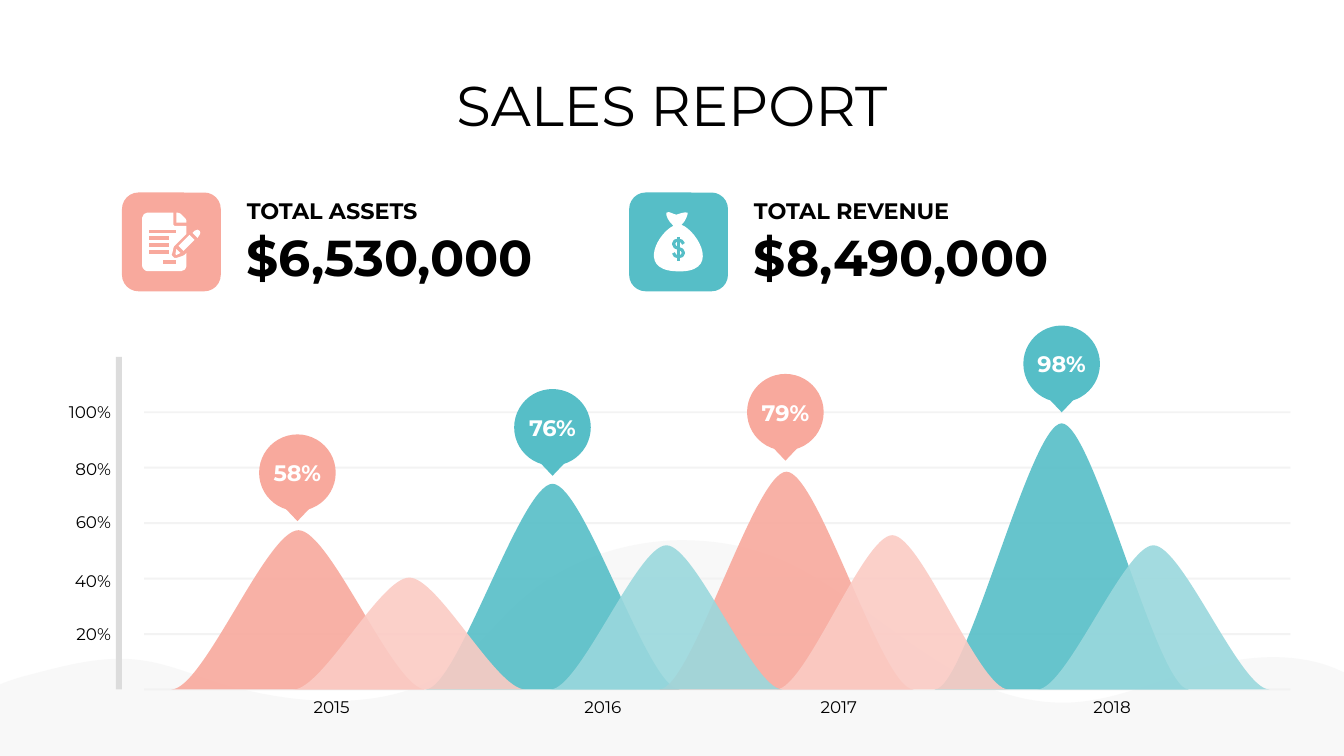
from pptx import Presentation, util as u
from pptx.dml.color import RGBColor
from pptx.enum import shapes, text
from pptx.oxml.ns import qn
from lxml import etree

CORAL, PALE_CORAL = "F8A99D", "FBCBC4"
TEAL, PALE_TEAL = "56BEC7", "9AD8DD"
BLACK, WHITE, MIST, GREY = "000000", "FFFFFF", "F2F2F2", "D9D9D9"
KIND = shapes.MSO_SHAPE
ALIGN = text.PP_ALIGN

WAVE = [(6.7, 5.36), (7.14, 5.35, 7.58, 5.44, 7.97, 5.66), (8.78, 6.1, 9.48, 6.93, 10.47, 6.97),
        (11.09, 7, 11.65, 6.64, 12.26, 6.55), (12.64, 6.49, 12.97, 6.52, 13.24, 6.63),
        (13.33, 6.67), (13.33, 7.5), (0, 7.5), (0, 6.79),
        (0.12, 6.74, 0.23, 6.71, 0.35, 6.68), (0.69, 6.59, 1.05, 6.5, 1.4, 6.55),
        (1.7, 6.59, 1.97, 6.72, 2.26, 6.8), (2.97, 7, 3.91, 7.07, 4.5, 6.61),
        (4.75, 6.41, 4.93, 6.16, 5.17, 5.95), (5.58, 5.58, 6.14, 5.38, 6.7, 5.36)]
SHEET = [(.51, .55), (.51, .54, .52, .53, .53, .52), (.64, .41), (.64, .33), (.52, .33),
         (.51, .32), (.51, .2), (.25, .2), (.23, .2, .2, .22, .2, .25),
         (.2, .73), (.2, .75, .23, .78, .25, .78), (.59, .78), (.62, .78, .64, .75, .64, .73),
         (.64, .6), (.62, .62), (.6, .63), (.54, .65),
         (.52, .65, .51, .65, .5, .63), (.49, .62, .49, .61, .5, .6)]
FOLD = [(.64, .3), (.64, .28, .64, .27, .63, .26), (.58, .21), (.57, .2, .56, .2, .54, .2), (.54, .3)]
TIP = [(.54, .56), (.53, .61), (.54, .62), (.58, .6)]
SHAFT = [(.67, .42), (.56, .53), (.61, .58), (.72, .47)]
ERASER = [(.77, .38), (.76, .37, .74, .36, .72, .38), (.7, .4), (.75, .45), (.77, .42),
          (.78, .41, .78, .39, .77, .38)]
WRITING = [[(.27, .39), (.54, .39)], [(.27, .45), (.47, .45)], [(.27, .52), (.47, .52)],
           [(.27, .59), (.47, .59)], [(.41, .69), (.54, .69)]]
BAG = [(.52, .32), (.56, .29, .59, .2, .58, .2), (.55, .19, .5, .21, .47, .22),
       (.44, .22, .4, .18, .37, .2), (.36, .22, .39, .29, .44, .33),
       (.29, .4, .09, .75, .44, .78), (.93, .82, .69, .39, .52, .32)]
DOLLAR = [(.54, .51), (.53, .46, .44, .46, .44, .51), (.44, .57, .54, .54, .54, .6),
          (.54, .65, .44, .65, .44, .6)]
STEM = [(.49, .44), (.49, .68)]


def tint(value):
    """Turn a hex string into a colour."""
    return RGBColor.from_string(value)


def paint(shape, color, opacity=100):
    """Give a shape a flat fill without line or shadow."""
    shape.shadow.inherit = False
    shape.line.fill.background()
    shape.fill.solid()
    shape.fill.fore_color.rgb = tint(color)
    if opacity < 100:
        swatch = shape.fill._xPr.find(".//" + qn("a:srgbClr"))
        etree.SubElement(swatch, qn("a:alpha")).set("val", str(opacity * 1000))
    return shape


def block(holder, kind, left, top, width, height, color, opacity=100):
    """Add a painted preset shape."""
    box = [u.Inches(length) for length in (left, top, width, height)]
    return paint(holder.shapes.add_shape(kind, *box), color, opacity)


def trace(page, left, top, outlines, close=True):
    """Add a freeform of lines and cubic curves relative to a corner."""
    def place(step):
        return [(u.Inches(left + x), u.Inches(top + y)) for x, y in zip(step[::2], step[1::2])]

    builder = page.shapes.build_freeform(*place(outlines[0][0])[0], scale=1.0)
    for number, outline in enumerate(outlines):
        if number:
            builder.move_to(*place(outline[0])[0])
        builder.add_line_segments([point for step in outline[1:] for point in place(step)], close=close)
    shape = builder.convert_to_shape()
    segments = iter(list(shape._element.iter(qn("a:lnTo"))))
    for step in (step for outline in outlines for step in outline[1:]):
        first = next(segments)
        if len(step) == 6:
            curve = etree.Element(qn("a:cubicBezTo"))
            first.addprevious(curve)
            for segment in (first, next(segments), next(segments)):
                curve.append(segment[0])
                segment.getparent().remove(segment)
    return shape


def pen(shape, color, width):
    """Give an open outline a line and no fill."""
    shape.shadow.inherit = False
    shape.fill.background()
    shape.line.color.rgb = tint(color)
    shape.line.width = u.Pt(width)


def style(frame, words, size, color=BLACK, align=ALIGN.LEFT, bold=False):
    """Set and format the single paragraph of a text frame."""
    frame.text = words
    frame.vertical_anchor = text.MSO_ANCHOR.MIDDLE
    para = frame.paragraphs[0]
    para.alignment = align
    span = para.runs[0].font
    span.name, span.size, span.bold = "Montserrat", u.Pt(size), bold
    span.color.rgb = tint(color)
    return para


def label(page, left, top, width, height, words, size, **look):
    """Add a wrapped text box."""
    box = page.shapes.add_textbox(*[u.Inches(n) for n in (left, top, width, height)])
    box.text_frame.word_wrap = True
    style(box.text_frame, words, size, **look)


def draw_title(page, left, top, width, height):
    """Place and format the title."""
    title = page.shapes.title
    title.left, title.top, title.width, title.height = map(u.Inches, (left, top, width, height))
    title.text_frame.margin_top = u.Inches(.16)
    style(title.text_frame, "SALES REPORT", 40, align=ALIGN.CENTER).line_spacing = .9


def draw_total(page, left, top, color, name, amount):
    """Draw an icon tile with its name and amount."""
    block(page, KIND.ROUNDED_RECTANGLE, left, top, .98, .98, color)
    label(page, left + 1.14, top - .01, 3.3, .37, name, 16, bold=True)
    label(page, left + 1.14, top + .28, 3.3, .71, amount, 36, bold=True)


def draw_document(page, left, top):
    """Draw the sheet and pencil icon."""
    paint(trace(page, left, top, [SHEET, FOLD, TIP, SHAFT, ERASER]), WHITE)
    pen(trace(page, left, top, WRITING, close=False), CORAL, 2.4)


def draw_money_bag(page, left, top):
    """Draw the money bag icon."""
    paint(trace(page, left, top, [BAG]), WHITE)
    pen(trace(page, left, top, [DOLLAR, STEM], close=False), TEAL, 2.2)


def draw_hill(page, center, base, height, half, color):
    """Draw one bell-shaped hill standing on the base line."""
    outline = [(-half, 0), (-.75 * half, 0, -.25 * half, -height, 0, -height),
               (.25 * half, -height, .75 * half, 0, half, 0)]
    paint(trace(page, center, base, [outline]), color, 90)


def draw_pin(page, center, top, color, share):
    """Draw a round pin with its percentage."""
    pin = page.shapes.add_group_shape()
    pointer = block(pin, KIND.ISOSCELES_TRIANGLE, center - .19, top + .66, .38, .2, color)
    pointer.rotation = 180
    disc = block(pin, KIND.OVAL, center - .38, top, .76, .76, color)
    frame = disc.text_frame
    frame.margin_left = frame.margin_right = frame.margin_top = frame.margin_bottom = 0
    frame.word_wrap = False
    style(frame, share, 16, WHITE, ALIGN.CENTER, True)


def draw_chart(page, left, base):
    """Draw the grid, hills, labels and pins from the lower left corner."""
    for row in range(6):
        block(page, KIND.RECTANGLE, left, base - .01 - .55 * row, 11.37, .02, MIST, 90)
    block(page, KIND.RECTANGLE, left - .28, base - 3.3, .06, 3.3, GREY, 90)
    for center, height, color in ((1.53, 1.58, CORAL), (9.1, 2.64, TEAL), (4.05, 2.04, TEAL), (6.37, 2.16, CORAL)):
        draw_hill(page, left + center, base, height, 1.26, color)
    for center, height, color in ((2.63, 1.11, PALE_CORAL), (10.01, 1.43, PALE_TEAL),
                                  (7.42, 1.53, PALE_CORAL), (5.18, 1.43, PALE_TEAL)):
        draw_hill(page, left + center, base, height, 1.15, color)
    for share, rise in ((20, .7), (40, 1.23), (60, 1.81), (80, 2.34), (100, 2.9)):
        label(page, left - 1, base - rise, .77, .3, f"{share}%", 12, align=ALIGN.RIGHT)
    for year, center in enumerate((1.86, 4.55, 6.89, 9.6), 2015):
        label(page, left + center - .4, base + .02, .8, .3, str(year), 12, align=ALIGN.CENTER)
    for center, rise, color, share in ((1.52, 2.53, CORAL, "58%"), (4.05, 2.98, TEAL, "76%"),
                                       (6.36, 3.13, CORAL, "79%"), (9.1, 3.61, TEAL, "98%")):
        draw_pin(page, left + center, base - rise, color, share)


def main():
    """Build and save the sales report slide."""
    deck = Presentation()
    deck.slide_width, deck.slide_height = u.Inches(13.33), u.Inches(7.5)
    page = deck.slides.add_slide(deck.slide_layouts[5])
    paint(trace(page, 0, 0, [WAVE]), MIST, 50)
    draw_title(page, 2.66, .61, 8.01, .82)
    draw_chart(page, 1.43, 6.84)
    draw_total(page, 1.21, 1.91, CORAL, "TOTAL ASSETS", "$6,530,000")
    draw_document(page, 1.21, 1.91)
    draw_total(page, 6.24, 1.91, TEAL, "TOTAL REVENUE", "$8,490,000")
    draw_money_bag(page, 6.24, 1.91)
    deck.save("out.pptx")


if __name__ == "__main__":
    main()
